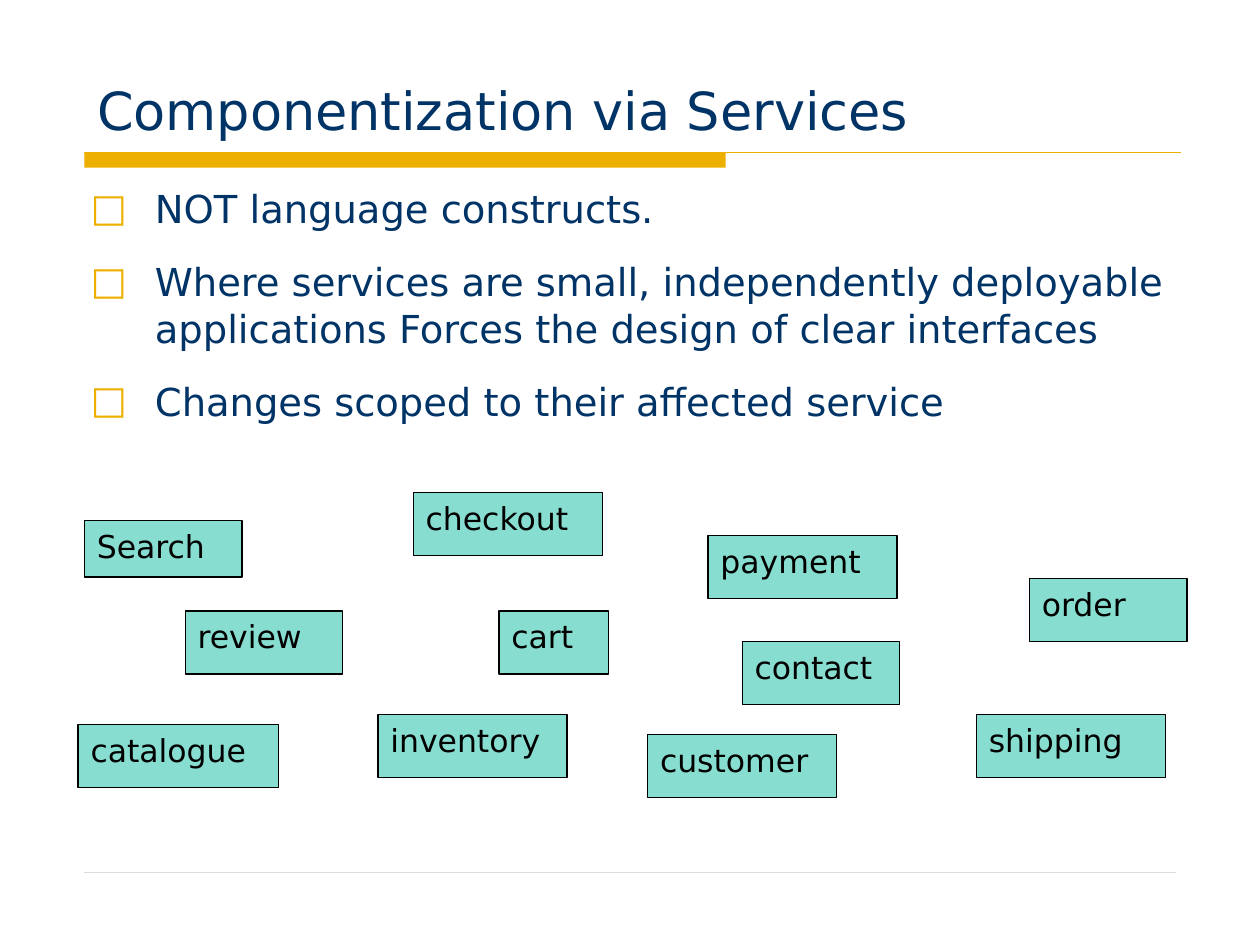
import pptx
import pptx.util
import pptx.dml.color
import pptx.enum.shapes
import pptx.enum.text
import pptx.oxml
import pptx.oxml.ns
from pptx.util import Inches, Pt

FONT = "DejaVu Sans"
COLORS = {"text": "003366", "accent": "EEB000", "box": "87DDCF",
          "black": "000000", "footer": "DDDDDD"}

TITLE = "Componentization via Services"
BULLETS = [
    "NOT language constructs.",
    "Where services are small, independently deployable applications "
    "Forces the design of clear interfaces",
    "Changes scoped to their affected service",
]
# Service name, left, top, width, height
SERVICES = [
    ("Search", 0.67, 4.13, 1.25, 0.45),
    ("review", 1.47, 4.85, 1.25, 0.5),
    ("checkout", 3.28, 3.91, 1.5, 0.5),
    ("shipping", 7.75, 5.67, 1.5, 0.5),
    ("catalogue", 0.62, 5.75, 1.59, 0.5),
    ("inventory", 3, 5.67, 1.5, 0.5),
    ("payment", 5.62, 4.25, 1.5, 0.5),
    ("customer", 5.14, 5.83, 1.5, 0.5),
    ("order", 8.17, 4.59, 1.25, 0.5),
    ("contact", 5.89, 5.09, 1.25, 0.5),
    ("cart", 3.96, 4.85, 0.87, 0.5),
]


def rgb(name):
    return pptx.dml.color.RGBColor.from_string(COLORS[name])


def place(shape, left, top, width, height):
    shape.left, shape.top = Inches(left), Inches(top)
    shape.width, shape.height = Inches(width), Inches(height)


def write(shape, *texts, size, color, anchor="TOP", before=0, after=0):
    frame = shape.text_frame
    frame.word_wrap = True
    frame.auto_size = pptx.enum.text.MSO_AUTO_SIZE.NONE
    frame.vertical_anchor = getattr(pptx.enum.text.MSO_ANCHOR, anchor)
    for index, text in enumerate(texts):
        paragraph = frame.add_paragraph() if index else frame.paragraphs[0]
        paragraph.alignment = pptx.enum.text.PP_ALIGN.LEFT
        paragraph.space_before, paragraph.space_after = Pt(before), Pt(after)
        run = paragraph.add_run()
        run.text = text
        run.font.name, run.font.size = FONT, Pt(size)
        run.font.color.rgb = rgb(color)


def add_bullet(paragraph, character, color, indent):
    properties = paragraph._p.get_or_add_pPr()
    properties.set("marL", str(Inches(indent)))
    properties.set("indent", str(-Inches(indent)))
    namespace = pptx.oxml.ns.nsdecls("a")
    for xml in (
        f'<a:buClr {namespace}><a:srgbClr val="{COLORS[color]}"/></a:buClr>',
        f'<a:buFont {namespace} typeface="{FONT}"/>',
        f'<a:buChar {namespace} char="{character}"/>',
    ):
        properties.append(pptx.oxml.parse_xml(xml))


def add_box(slide, bounds, fill, line=None):
    shape = slide.shapes.add_shape(
        pptx.enum.shapes.MSO_SHAPE.RECTANGLE, *map(Inches, bounds))
    shape.shadow.inherit = False
    shape.fill.solid()
    shape.fill.fore_color.rgb = rgb(fill)
    if line:
        shape.line.color.rgb = rgb(line)
        shape.line.width = Pt(0.75)
    else:
        shape.line.fill.background()
    return shape


def add_rule(slide, left, right, top, color, width):
    rule = slide.shapes.add_connector(
        pptx.enum.shapes.MSO_CONNECTOR.STRAIGHT,
        *map(Inches, (left, top, right, top)))
    rule.line.color.rgb = rgb(color)
    rule.line.width = Pt(width)
    rule._element.spPr.append(pptx.oxml.parse_xml(
        f'<a:effectLst {pptx.oxml.ns.nsdecls("a")}/>'))


def main():
    presentation = pptx.Presentation()
    presentation.slide_width, presentation.slide_height = Inches(10), Inches(7.5)
    slide = presentation.slides.add_slide(presentation.slide_layouts[1])

    # Title bar and footer rule
    add_box(slide, (0.67, 1.21, 5.09, 0.12), "accent")
    add_rule(slide, 0.67, 9.37, 1.21, "accent", 0.75)
    add_rule(slide, 0.67, 9.33, 6.92, "footer", 0.25)

    # Title and bullet list
    title, body = slide.shapes.title, slide.placeholders[1]
    place(title, 0.67, 0.17, 8.75, 1)
    write(title, TITLE, size=30, color="text", anchor="BOTTOM")
    place(body, 0.62, 1.42, 8.75, 2.33)
    write(body, *BULLETS, size=22, color="text", before=4.4, after=11)
    for paragraph in body.text_frame.paragraphs:
        add_bullet(paragraph, "□", "accent", 0.51)

    # Service boxes
    for name, *bounds in SERVICES:
        box = add_box(slide, bounds, "box", line="black")
        write(box, name, size=18, color="black")

    presentation.save("out.pptx")


if __name__ == "__main__":
    main()
